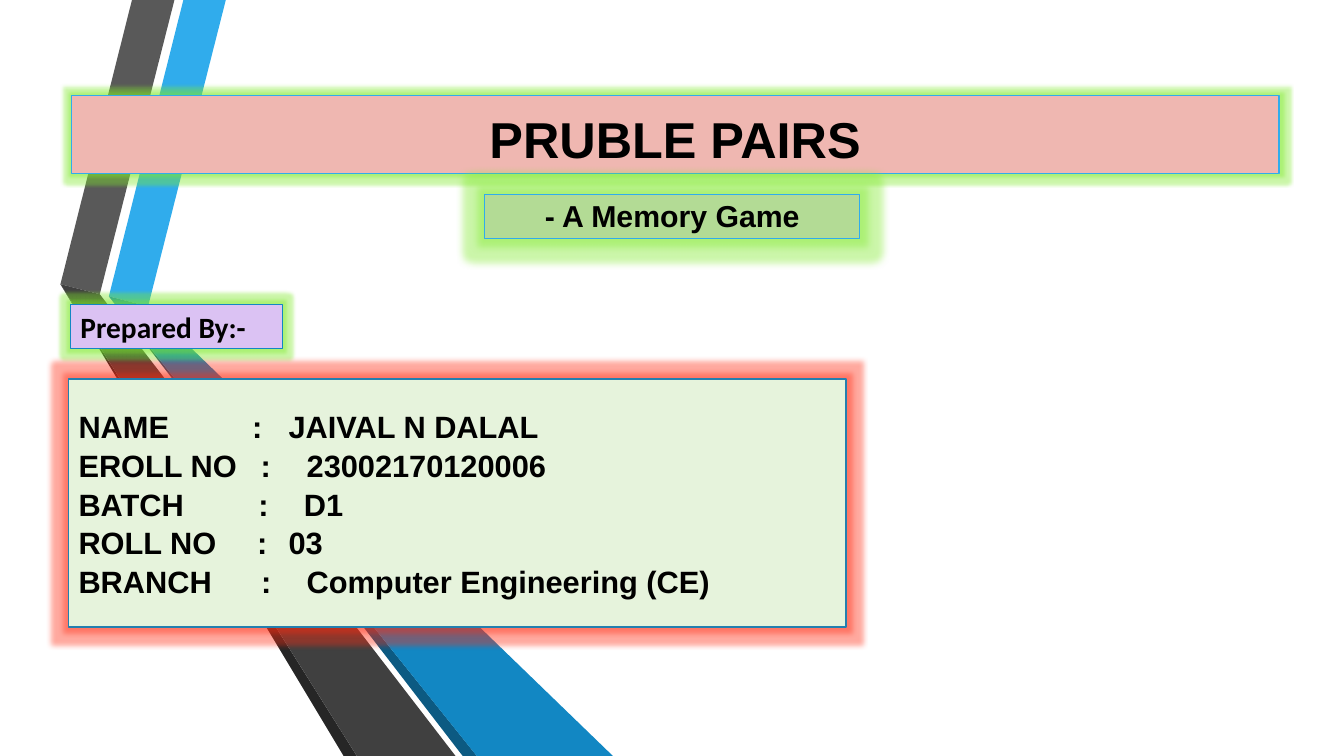
from lxml import etree
from pptx import Presentation
from pptx import util as u
from pptx.dml.color import RGBColor
from pptx.enum import shapes, text
from pptx.oxml import ns

GREEN_GLOW, RED_GLOW = "7FEA2A", "FF2A10"


def color(hex_value):
    return RGBColor.from_string(hex_value)


class SlideBuilder:
    """Holds the text style and the slide being built."""

    style = {"size": u.Pt(22), "bold": True, "name": "Arial"}

    def __init__(self, slide):
        self.slide = slide

    def ribbon(self, fill, points):
        corners = [(u.Pt(x), u.Pt(y)) for x, y in points]
        builder = self.slide.shapes.build_freeform(*corners[0], scale=1.0)
        builder.add_line_segments(corners[1:], close=True)
        shape = builder.convert_to_shape()
        shape.shadow.inherit = False
        shape.fill.solid()
        shape.fill.fore_color.rgb = color(fill)
        shape.line.fill.background()

    def box(self, bounds, fill, line, glow, line_width=0.75,
            anchor=text.MSO_ANCHOR.BOTTOM):
        box = self.slide.shapes.add_shape(
            shapes.MSO_SHAPE.RECTANGLE, *[u.Pt(value) for value in bounds])
        box.shadow.inherit = False
        box.fill.solid()
        box.fill.fore_color.rgb = color(fill)
        box.line.color.rgb = color(line)
        box.line.width = u.Pt(line_width)
        self.glow(box, *glow)
        box.text_frame.word_wrap = True
        box.text_frame.vertical_anchor = anchor
        return box.text_frame

    def glow(self, box, hex_value, radius):
        effects = box._element.spPr.find(ns.qn("a:effectLst"))
        glow = etree.SubElement(effects, ns.qn("a:glow"), rad=str(u.Pt(radius)))
        tint = etree.SubElement(glow, ns.qn("a:srgbClr"), val=hex_value)
        etree.SubElement(tint, ns.qn("a:alpha"), val="40000")

    def add_words(self, para, words, align=text.PP_ALIGN.LEFT, **changes):
        para.alignment = align
        span = para.add_run()
        span.text = words
        for name, value in {**self.style, **changes}.items():
            setattr(span.font, name, value)
        span.font.color.rgb = color("000000")

    def tab_stops(self, para, stops):
        tabs = etree.SubElement(para._p.get_or_add_pPr(), ns.qn("a:tabLst"))
        for stop in stops:
            etree.SubElement(tabs, ns.qn("a:tab"), pos=str(u.Pt(stop)), algn="l")


def main():
    deck = Presentation()
    deck.slide_width, deck.slide_height = u.Pt(960), u.Pt(540)
    page = SlideBuilder(deck.slides.add_slide(deck.slide_layouts[6]))

    # Folded ribbons behind the text
    ribbons = [
        ("30ACEC", [(77.8, 211.7), (105.8, 218.9), (161.3, 0), (131, 0)]),
        ("595959", [(71.3, 210.2), (124.6, 0), (94.3, 0), (43.2, 203)]),
        ("262626", [(43.2, 203), (245.5, 540), (254.9, 540)]),
        ("0C5A82", [(340.6, 540), (77.8, 211.7), (330.5, 540)]),
        ("1287C3", [(77.8, 211.7), (340.6, 540), (437.8, 540), (105.8, 218.9)]),
        ("404040", [(325.4, 540), (76.3, 216.7), (71.3, 210.2), (43.2, 203),
                    (254.9, 540)]),
    ]
    for fill, points in ribbons:
        page.ribbon(fill, points)

    # Title
    title = page.box((51, 68.4, 862.6, 55.4), "EFB7B1", "30ACEC", (GREEN_GLOW, 5))
    page.add_words(title.paragraphs[0], "PRUBLE PAIRS", text.PP_ALIGN.CENTER,
                   size=u.Pt(36))

    # Author heading
    heading = page.box((50.4, 217.4, 151.2, 31.7), "DBC2F3", "1287C3",
                       (GREEN_GLOW, 5), anchor=text.MSO_ANCHOR.TOP)
    heading.paragraphs[0].space_before = u.Pt(2)
    page.add_words(heading.paragraphs[0], "Prepared By:-", size=u.Pt(21),
                   name="Calibri")

    # Author details: label, value, colon stop, value stop
    details = [
        ("NAME", "JAIVAL N DALAL", 124, 150),
        ("EROLL NO", "23002170120006", 130, 163),
        ("BATCH", "D1", 128.5, 161),
        ("ROLL NO", "03", 127.5, 150),
        ("BRANCH", "Computer Engineering (CE)", 130.5, 163),
    ]
    card = page.box((49, 270.7, 555.1, 177.1), "E6F3DC", "247FAF",
                    (RED_GLOW, 8), 1.25, text.MSO_ANCHOR.MIDDLE)
    for index, (label, value, *stops) in enumerate(details):
        para = card.add_paragraph() if index else card.paragraphs[0]
        para.line_spacing = 1.05
        page.tab_stops(para, stops)
        page.add_words(para, f"{label}\t:\t{value}")

    # Subtitle
    subtitle = page.box((346.3, 139, 267.8, 31.7), "B3DB95", "30ACEC",
                        (GREEN_GLOW, 11))
    page.add_words(subtitle.paragraphs[0], "- A Memory Game",
                   text.PP_ALIGN.CENTER, size=u.Pt(21.6))

    deck.save("out.pptx")


if __name__ == "__main__":
    main()
